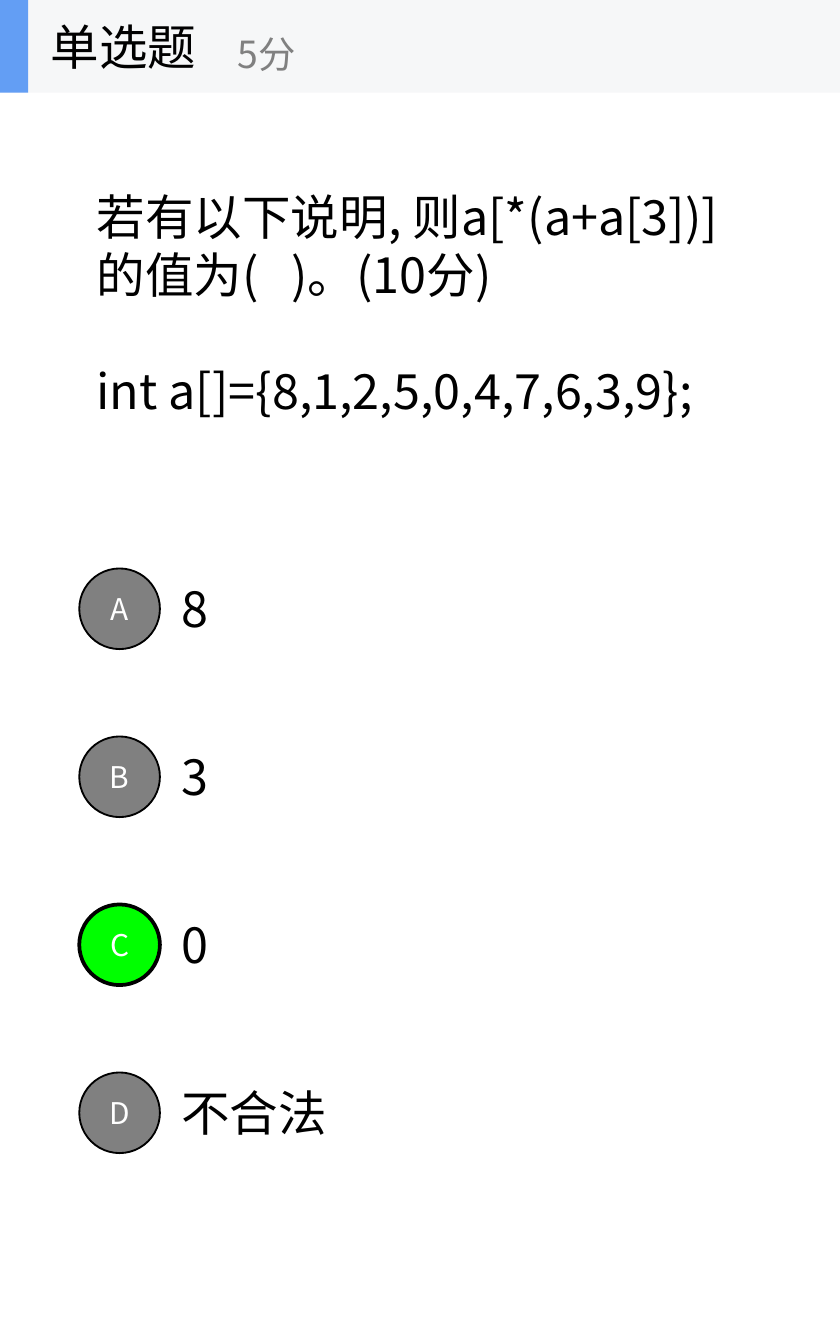
from pptx import Presentation
from pptx.dml.color import RGBColor
from pptx.enum.shapes import MSO_SHAPE
from pptx.enum.text import MSO_ANCHOR, PP_ALIGN
from pptx.oxml.ns import qn
from pptx.util import Inches, Pt
from lxml.etree import SubElement

FONT = "Noto Sans CJK SC"
BLACK, GRAY, WHITE = "000000", "808080", "FFFFFF"
CORRECT = "00FF00"


def paint(color_holder, color):
    """Apply a hex colour to a font, or a solid one to a fill."""
    if hasattr(color_holder, "solid"):
        color_holder.solid()
        color_holder.fore_color.rgb = RGBColor.from_string(color)
    else:
        color_holder.color.rgb = RGBColor.from_string(color)


def write(shape, paragraphs, size, color=BLACK, align=PP_ALIGN.LEFT, gap=0):
    """Fill a shape with paragraphs, gap points apart, centred vertically."""
    frame = shape.text_frame
    frame.word_wrap = True
    frame.vertical_anchor = MSO_ANCHOR.MIDDLE
    frame.text = "\n".join(paragraphs)
    for index, paragraph in enumerate(frame.paragraphs):
        paragraph.alignment = align
        paragraph.space_before = Pt(gap if index else 0)
        paragraph.font.name = FONT
        paragraph.font.size = Pt(size)
        paint(paragraph.font, color)
        for run in paragraph.runs:
            run.font.size = Pt(size)
            SubElement(run.font._element, qn("a:ea"), typeface=FONT)


def add_text(shapes, box, paragraphs, size, color=BLACK, gap=0):
    """Place a text box at left, top, width, height in inches."""
    text_box = shapes.add_textbox(*map(Inches, box))
    write(text_box, paragraphs, size, color, gap=gap)


def add_filled(shapes, kind, box, fill, line_width=0):
    """Place a filled preset shape, with a black outline if it has a width."""
    shape = shapes.add_shape(kind, *map(Inches, box))
    shape.shadow.inherit = False
    paint(shape.fill, fill)
    if line_width:
        paint(shape.line.fill, BLACK)
        shape.line.width = Pt(line_width)
    else:
        shape.line.fill.background()
    return shape


def add_header(slide, left, top, width, height):
    """Draw the title band with its accent, question type and score."""
    header = slide.shapes.add_group_shape().shapes
    add_filled(header, MSO_SHAPE.RECTANGLE, (left, top, width, height), "F6F7F8")
    add_filled(header, MSO_SHAPE.RECTANGLE, (left, top, 0.21, height), "639EF4")
    add_text(header, (left + 0.28, top, 2.08, height), ["单选题"], 26)
    add_text(header, (left + 1.67, top + 0.12, 2.5, 0.56), ["5分"], 20, GRAY)


def add_question(slide, left, top, width, height):
    """Write the question and the declaration it refers to."""
    question = ["若有以下说明, 则a[*(a+a[3])]的值为(\u00a0\u00a0 )。(10分)",
                "int a[]={8,1,2,5,0,4,7,6,3,9};"]
    add_text(slide.shapes, (left, top, width, height), question, 26, gap=31)


def add_option(slide, left, top, letter, answer, correct):
    """Draw one option: a lettered circle and its answer."""
    badge = add_filled(slide.shapes, MSO_SHAPE.OVAL, (left, top, 0.6, 0.6),
                       CORRECT if correct else GRAY, 2 if correct else 1)
    badge.text_frame.margin_left = badge.text_frame.margin_right = 0
    write(badge, [letter], 16, WHITE, PP_ALIGN.CENTER)
    answer_width = 0.52 if len(answer) == 1 else 1.39
    add_text(slide.shapes, (left + 0.66, top + 0.03, answer_width, 0.53), [answer], 26)


def add_options(slide, left, top, pitch, answers, correct_letter):
    """Stack the options at an equal pitch."""
    for row, (letter, answer) in enumerate(zip("ABCD", answers)):
        add_option(slide, left, top + row * pitch, letter, answer,
                   letter == correct_letter)


prs = Presentation()
prs.slide_width, prs.slide_height = Inches(6.25), Inches(10)
quiz = prs.slides.add_slide(prs.slide_layouts[6])
add_question(quiz, 0.62, 1.34, 4.88, 1.83)
add_options(quiz, 0.59, 4.23, 1.25, ["8", "3", "0", "不合法"], "C")
add_header(quiz, 0, 0, 6.25, 0.69)
prs.save("out.pptx")
